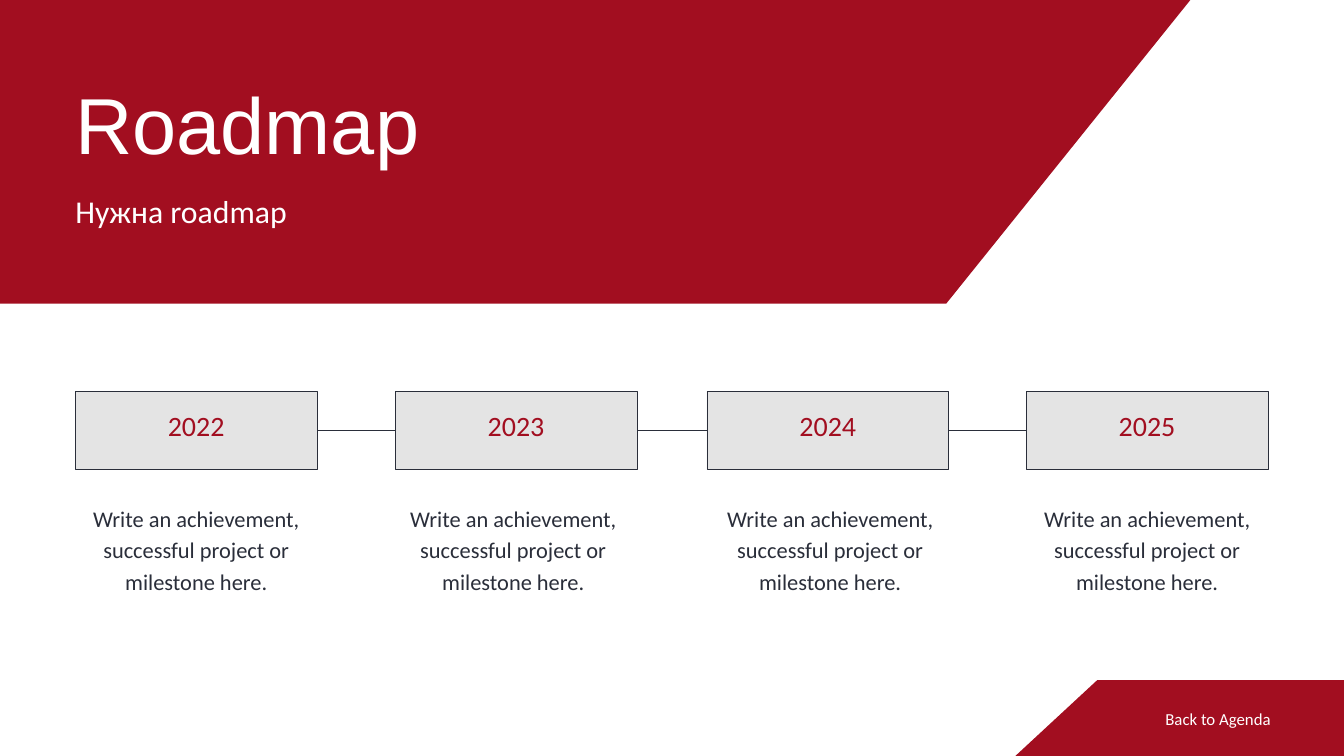
from typing import NamedTuple

from lxml import etree
from pptx import Presentation
from pptx.dml.color import RGBColor
from pptx.enum import shapes, text
from pptx.oxml import ns
from pptx.util import Inches, Pt

RED = RGBColor(0xA2, 0x0E, 0x20)
INK = RGBColor(0x2A, 0x2E, 0x3A)
GREY = RGBColor(0xE4, 0xE4, 0xE4)
WHITE = RGBColor(0xFF, 0xFF, 0xFF)

MARGIN = 1.12
CARD_WIDTH = 3.6
CARD_TOP = 5.82
CARD_HEIGHT = 1.17
NOTE_TOP = 7.45
NOTE_STEP = 4.717
BANNER = [(14.08, 4.52), (-0.23, 4.52), (-5.02, -1.45), (18.88, -1.45)]
CORNER = [(16.33, 10.12), (20.19, 10.12), (21.41, 11.25), (15.11, 11.25)]


class Milestone(NamedTuple):
    year: str
    left: float
    note: str = "Write an achievement, successful project or milestone here."


MILESTONES = [
    Milestone("2022", 1.12),
    Milestone("2023", 5.88),
    Milestone("2024", 10.52),
    Milestone("2025", 15.27),
]


def write(box, words: str, *, size: float, spacing: float, color: RGBColor,
          font: str = "Calibri", align=text.PP_ALIGN.LEFT,
          anchor=text.MSO_ANCHOR.TOP, insets=(0, 0, 0, 0)) -> None:
    frame = box.text_frame
    frame.word_wrap = True
    frame.auto_size = text.MSO_AUTO_SIZE.NONE
    frame.vertical_anchor = anchor
    (frame.margin_left, frame.margin_top,
     frame.margin_right, frame.margin_bottom) = map(Inches, insets)
    para = frame.paragraphs[0]
    para.alignment = align
    para.line_spacing = Pt(spacing)
    para.space_before = Pt(0)
    span = para.add_run()
    span.text = words
    span.font.name = font
    span.font.size = Pt(size)
    span.font.color.rgb = color


def add_text(page, words: str, left: float, top: float, width: float,
             height: float, **style) -> None:
    box = page.shapes.add_textbox(*map(Inches, (left, top, width, height)))
    write(box, words, **style)


def add_polygon(page, points: list[tuple[float, float]]):
    start, *rest = [(Inches(x), Inches(y)) for x, y in points]
    builder = page.shapes.build_freeform(*start)
    builder.add_line_segments(rest, close=True)
    polygon = builder.convert_to_shape()
    polygon.shadow.inherit = False
    polygon.fill.solid()
    polygon.fill.fore_color.rgb = RED
    polygon.line.fill.background()
    return polygon


def add_card(page, milestone: Milestone):
    card = page.shapes.add_shape(
        shapes.MSO_SHAPE.RECTANGLE,
        *map(Inches, (milestone.left, CARD_TOP, CARD_WIDTH, CARD_HEIGHT)))
    card.shadow.inherit = False
    card.fill.solid()
    card.fill.fore_color.rgb = GREY
    card.line.color.rgb = INK
    card.line.width = Pt(0.75)
    write(card, milestone.year, size=30, spacing=42, color=RED,
          align=text.PP_ALIGN.CENTER, anchor=text.MSO_ANCHOR.MIDDLE,
          insets=(0.06, 0.06, 0.06, 0.29))
    return card


def join(page, first, second) -> None:
    link = page.shapes.add_connector(shapes.MSO_CONNECTOR.STRAIGHT, 0, 0, 0, 0)
    link.begin_connect(first, 3)
    link.end_connect(second, 1)
    link.line.color.rgb = INK
    link.line.width = Pt(0.75)
    etree.SubElement(link.element.spPr, ns.qn("a:effectLst"))


def main() -> None:
    deck = Presentation()
    deck.slide_width = Inches(20)
    deck.slide_height = Inches(11.25)
    page = deck.slides.add_slide(deck.slide_layouts[5])

    title = page.shapes.title
    title.left, title.top = Inches(MARGIN), Inches(1.12)
    title.width, title.height = Inches(13.11), Inches(1.41)
    write(title, "Roadmap", size=85, spacing=102, color=WHITE, font="Arial")
    banner = add_polygon(page, BANNER)
    title.element.addprevious(banner.element)
    add_text(page, "Нужна roadmap", MARGIN, 2.76, 10.59, 0.62,
             size=34, spacing=47.6, color=WHITE)

    cards = [add_card(page, milestone) for milestone in MILESTONES]
    for first, second in zip(cards, cards[1:]):
        join(page, first, second)
    for index, milestone in enumerate(MILESTONES):
        add_text(page, milestone.note, MARGIN + index * NOTE_STEP, NOTE_TOP,
                 CARD_WIDTH, 1.37, size=24, spacing=33.6, color=INK,
                 align=text.PP_ALIGN.CENTER)

    add_polygon(page, CORNER)
    add_text(page, "Back to Agenda", 16.7, 10.52, 2.21, 0.32,
             size=18, spacing=23.4, color=WHITE, align=text.PP_ALIGN.RIGHT)
    deck.save("out.pptx")


if __name__ == "__main__":
    main()
